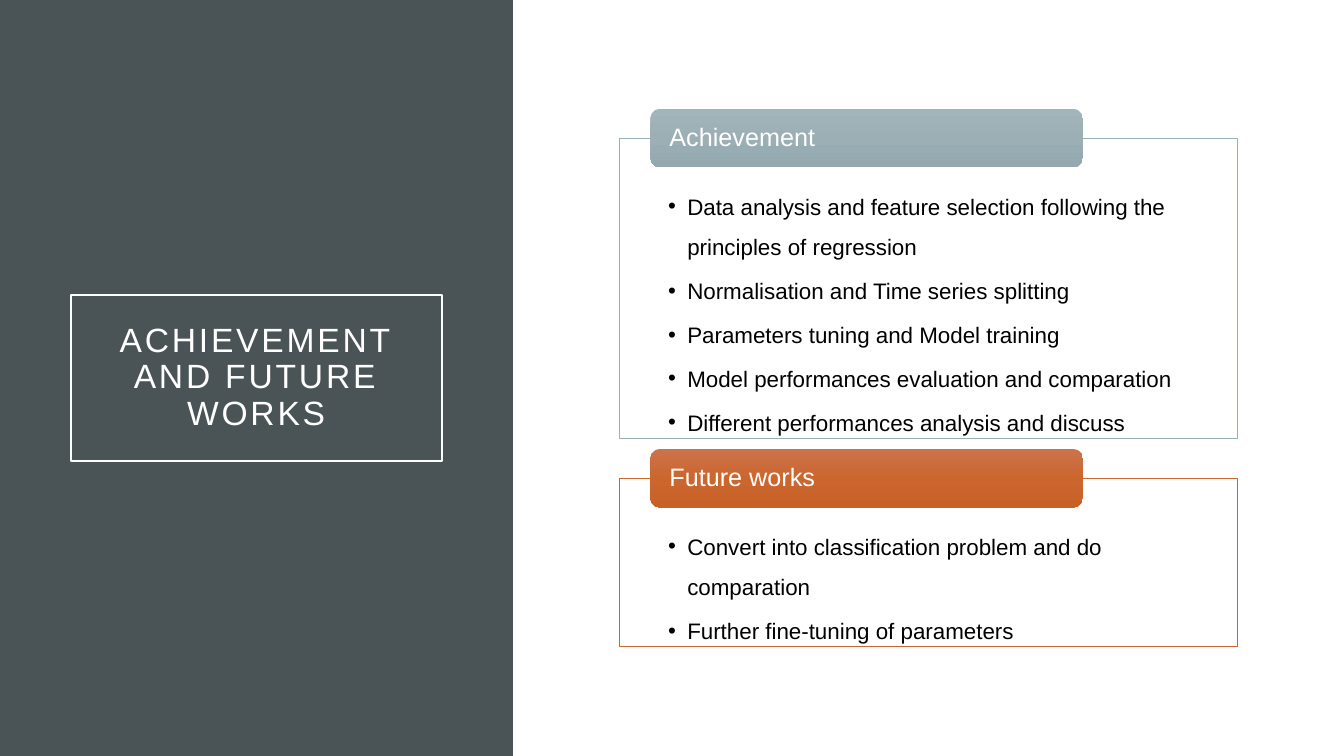
from copy import deepcopy
from dataclasses import dataclass

from lxml.etree import SubElement
from pptx import Presentation
from pptx.dml.color import RGBColor
from pptx.enum.shapes import MSO_SHAPE
from pptx.enum.text import MSO_ANCHOR, MSO_AUTO_SIZE, PP_ALIGN
from pptx.oxml.ns import qn
from pptx.util import Cm, Pt


@dataclass(frozen=True)
class Theme:
    font: str = "Arial"
    panel: str = "4A5356"
    light: str = "FFFFFF"
    text: str = "000000"
    blue: str = "9BAFB5"
    blue_fade: tuple = ("A3B5BB", "9BAFB5", "93A9AF")
    orange: str = "C96731"
    orange_fade: tuple = ("CC734B", "CB662F", "C86128")
    title_size: int = 24
    header_size: int = 18
    list_size: int = 16


THEME = Theme()
TITLE = "ACHIEVEMENT AND FUTURE WORKS"
SECTIONS = [
    ("Achievement", THEME.blue, THEME.blue_fade, 7.57, [
        "Data analysis and feature selection following the principles of regression",
        "Normalisation and Time series splitting",
        "Parameters tuning and Model training",
        "Model performances evaluation and comparation",
        "Different performances analysis and discuss",
    ]),
    ("Future works", THEME.orange, THEME.orange_fade, 4.24, [
        "Convert into classification problem and do comparation",
        "Further fine-tuning of parameters",
    ]),
]
BOX_LEFT, BOX_WIDTH, FIRST_TOP, BOX_GAP = 15.62, 15.57, 3.48, 1.0


def rgb(color):
    return RGBColor.from_string(color)


def place(sp, left, top, width, height):
    sp.left, sp.top, sp.width, sp.height = Cm(left), Cm(top), Cm(width), Cm(height)


def set_frame(tf, anchor, left, top, right, bottom):
    tf.word_wrap = True
    tf.auto_size = MSO_AUTO_SIZE.NONE
    tf.vertical_anchor = anchor
    tf.margin_left, tf.margin_top = Cm(left), Cm(top)
    tf.margin_right, tf.margin_bottom = Cm(right), Cm(bottom)


def format_text(tf, size, color, align, line_spacing, space_after=0):
    for p in tf.paragraphs:
        p.alignment = align
        p.line_spacing = line_spacing
        p.space_before, p.space_after = Pt(0), Pt(space_after)
        for r in p.runs:
            r.font.name = THEME.font
            r.font.size = Pt(size)
            r.font.color.rgb = rgb(color)


def set_outline(sp, color, width):
    sp.line.color.rgb = rgb(color)
    sp.line.width = Pt(width)


def set_gradient(sp, colors):
    """Fill with evenly spaced colours running from top to bottom."""
    sp.fill.gradient()
    sp.fill.gradient_angle = 270
    stop_list = sp._element.spPr.find(".//" + qn("a:gsLst"))
    while len(stop_list) < len(colors):
        stop_list.append(deepcopy(stop_list[0]))
    for i, (stop, color) in enumerate(zip(sp.fill.gradient_stops, colors)):
        stop.color.rgb = rgb(color)
        stop.position = i / (len(colors) - 1)


def add_side_panel(s):
    """Draw the dark left panel behind the title."""
    sp = s.shapes.add_shape(MSO_SHAPE.RECTANGLE, 0, 0, Cm(12.93), Cm(19.05))
    sp.shadow.inherit = False
    sp.fill.solid()
    sp.fill.fore_color.rgb = rgb(THEME.panel)
    sp.line.fill.background()
    s.shapes.title._element.addprevious(sp._element)


def format_title(sp):
    place(sp, 1.78, 7.44, 9.35, 4.17)
    set_outline(sp, THEME.light, 1.5)
    tf = sp.text_frame
    tf.text = TITLE
    set_frame(tf, MSO_ANCHOR.MIDDLE, 0.51, 0.51, 0.51, 0.51)
    format_text(tf, THEME.title_size, THEME.light, PP_ALIGN.CENTER, 0.9)
    for r in tf.paragraphs[0].runs:
        r.font._element.set("spc", "200")


def format_list(sp, top, height, color, items):
    place(sp, BOX_LEFT, top, BOX_WIDTH, height)
    sp.fill.solid()
    sp.fill.fore_color.rgb = rgb(THEME.light)
    white = sp._element.spPr.find(qn("a:solidFill"))[0]
    SubElement(white, qn("a:alpha"), val="90000")
    set_outline(sp, color, 0.5)
    tf = sp.text_frame
    tf.text = "\n".join(items)
    set_frame(tf, MSO_ANCHOR.TOP, 1.22, 1.04, 1.22, 0.3)
    format_text(tf, THEME.list_size, THEME.text, PP_ALIGN.LEFT, 1.5, 2.6)
    for p in tf.paragraphs:
        pPr = p._p.get_or_add_pPr()
        pPr.set("marL", str(Cm(0.48)))
        pPr.set("indent", str(-Cm(0.48)))
        SubElement(pPr, qn("a:buChar"), char="•")


def add_header(s, box_top, text, colors):
    """Add the rounded label centred on the top edge of a box."""
    height = 1.48
    sp = s.shapes.add_shape(MSO_SHAPE.ROUNDED_RECTANGLE, Cm(BOX_LEFT + 0.77),
                            Cm(box_top - height / 2), Cm(10.9), Cm(height))
    sp.shadow.inherit = False
    set_gradient(sp, colors)
    sp.line.fill.background()
    tf = sp.text_frame
    tf.text = text
    set_frame(tf, MSO_ANCHOR.MIDDLE, 0.41, 0, 0.41, 0)
    format_text(tf, THEME.header_size, THEME.light, PP_ALIGN.LEFT, 0.9)


def main():
    prs = Presentation()
    prs.slide_width, prs.slide_height = Cm(33.87), Cm(19.05)
    two_content = prs.slide_layouts[3]
    s = prs.slides.add_slide(two_content)
    add_side_panel(s)
    format_title(s.shapes.title)
    top = FIRST_TOP
    for i, (header, color, fade, height, items) in enumerate(SECTIONS, start=1):
        format_list(s.placeholders[i], top, height, color, items)
        add_header(s, top, header, fade)
        top += height + BOX_GAP
    prs.save("out.pptx")


if __name__ == "__main__":
    main()
